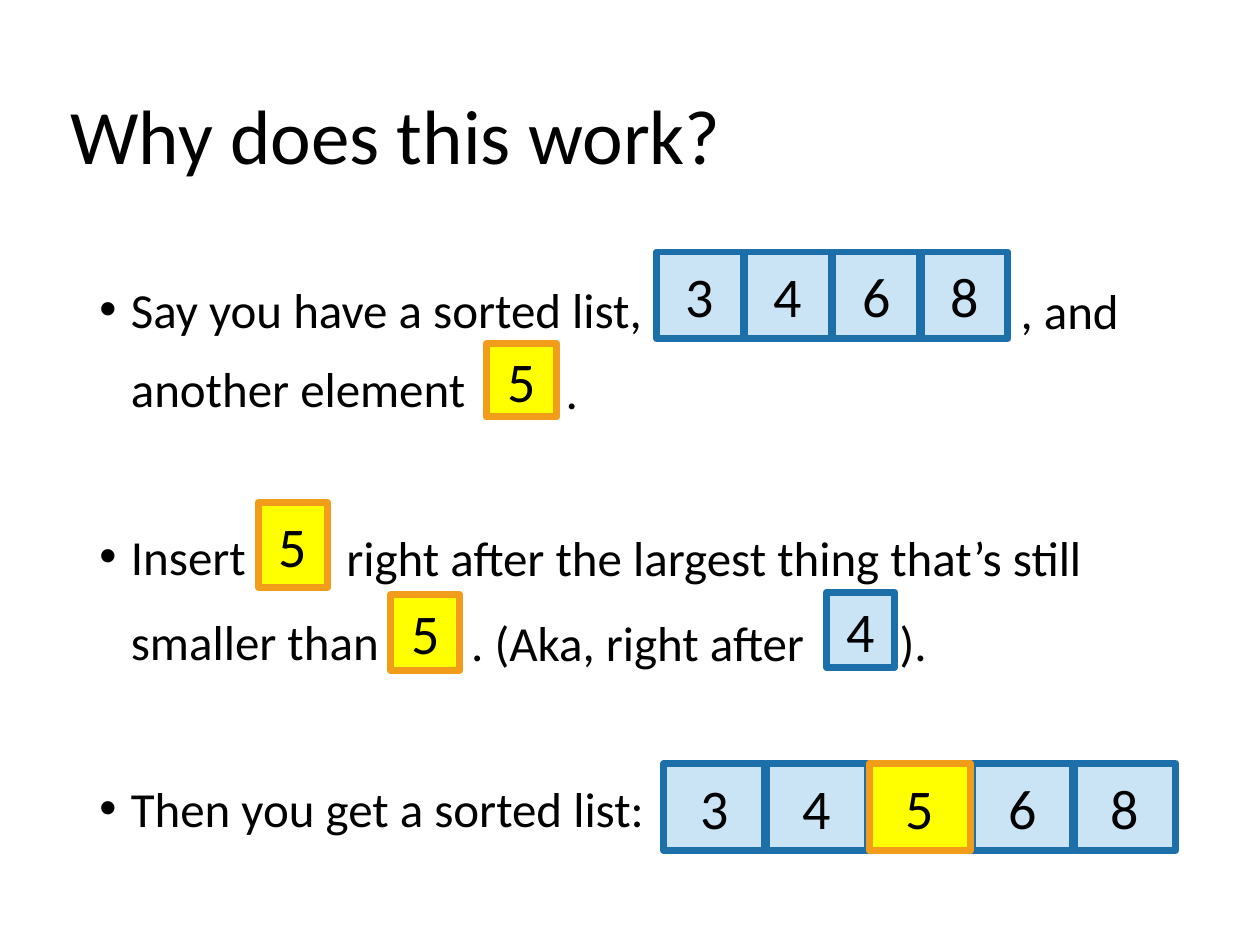
from lxml import etree
from pptx import Presentation
from pptx.dml.color import RGBColor
from pptx.enum import shapes, text
from pptx.oxml.ns import qn
from pptx.util import Inches, Pt

FONT = "Calibri"
COLORS = {
    "text": "000000",
    "sorted_fill": "CAE4F6",
    "sorted_line": "1D6FA9",
    "new_fill": "FFFF00",
    "new_line": "F19D19",
}

# Text, line spacing, space before in points
BULLETS = [
    ("Say you have a sorted list,\vanother element", Pt(45.6), 10),
    ("Insert\vsmaller than", Pt(48.6), 47),
    ("Then you get a sorted list:", 0.8, 68.5),
]

# Sentence parts that follow an inline box: text, left, top, width
CONTINUATIONS = [
    (", and", 8.1, 2.23, 1.1),
    (".", 4.49, 2.86, 0.3),
    ("right after the largest thing that’s still", 2.75, 4.19, 6.2),
    (". (Aka, right after", 3.74, 4.86, 2.9),
    (").", 7.14, 4.86, 0.4),
]

# Single boxes inside the sentences: value, kind, left, top, width, height
INLINE_BOXES = [
    (5, "new", 3.86, 2.73, 0.56, 0.58),
    (5, "new", 2.05, 3.99, 0.55, 0.67),
    (5, "new", 3.1, 4.72, 0.55, 0.6),
    (4, "sorted", 6.56, 4.7, 0.54, 0.6),
]


def color(name):
    return RGBColor.from_string(COLORS[name])


def format_font(paragraph, size):
    paragraph.font.name = FONT
    paragraph.font.size = Pt(size)
    paragraph.font.color.rgb = color("text")


def add_bullet(paragraph):
    properties = paragraph._p.get_or_add_pPr()
    properties.set("marL", str(Inches(0.25)))
    properties.set("indent", str(-Inches(0.25)))
    bullet_font = etree.Element(qn("a:buFont"), typeface="Arial")
    bullet = etree.Element(qn("a:buChar"), char="•")
    # Bullet marks come before the default run properties
    position = properties.index(properties.find(qn("a:defRPr")))
    properties.insert(position, bullet_font)
    properties.insert(position + 1, bullet)


def add_title(slide, wording):
    title = slide.shapes.title
    title.left, title.top = Inches(0.46), Inches(0.38)
    title.width, title.height = Inches(8.62), Inches(1.45)
    title.text_frame.text = wording
    title.text_frame.vertical_anchor = text.MSO_ANCHOR.MIDDLE
    paragraph = title.text_frame.paragraphs[0]
    paragraph.alignment = text.PP_ALIGN.LEFT
    paragraph.line_spacing = 0.9
    format_font(paragraph, 44)


def add_bullet_list(slide):
    box = slide.shapes.add_textbox(Inches(0.69), Inches(2), Inches(8.62), Inches(4.76))
    frame = box.text_frame
    frame.word_wrap = True
    for index, (wording, line_spacing, space_before) in enumerate(BULLETS):
        paragraph = frame.add_paragraph() if index else frame.paragraphs[0]
        paragraph.text = wording
        paragraph.line_spacing = line_spacing
        paragraph.space_before = Pt(space_before)
        format_font(paragraph, 28)
        add_bullet(paragraph)


def add_continuation(slide, wording, left, top, width):
    box = slide.shapes.add_textbox(Inches(left), Inches(top), Inches(width), Inches(0.48))
    frame = box.text_frame
    frame.word_wrap = True
    frame.margin_left = frame.margin_right = frame.margin_top = frame.margin_bottom = 0
    frame.text = wording
    format_font(frame.paragraphs[0], 28)


def add_number_box(slide, value, kind, left, top, width, height):
    box = slide.shapes.add_shape(
        shapes.MSO_SHAPE.RECTANGLE,
        Inches(left), Inches(top), Inches(width), Inches(height),
    )
    box.shadow.inherit = False
    box.fill.solid()
    box.fill.fore_color.rgb = color(f"{kind}_fill")
    box.line.color.rgb = color(f"{kind}_line")
    box.line.width = Pt(4)
    box.text_frame.text = str(value)
    box.text_frame.vertical_anchor = text.MSO_ANCHOR.MIDDLE
    paragraph = box.text_frame.paragraphs[0]
    paragraph.alignment = text.PP_ALIGN.CENTER
    format_font(paragraph, 32)


def add_number_row(slide, values, left, top, pitch, width, inserted=None):
    cells = [(value, left + index * pitch) for index, value in enumerate(values)]
    # The inserted cell goes on top of its neighbours
    for value, cell_left in sorted(cells, key=lambda cell: cell[0] == inserted):
        kind = "new" if value == inserted else "sorted"
        add_number_box(slide, value, kind, cell_left, top, width, 0.69)


def main():
    presentation = Presentation()
    presentation.slide_width, presentation.slide_height = Inches(10), Inches(7.5)
    slide = presentation.slides.add_slide(presentation.slide_layouts[5])

    # Sentences
    add_title(slide, "Why does this work?")
    add_bullet_list(slide)
    for continuation in CONTINUATIONS:
        add_continuation(slide, *continuation)

    # List before and after the insertion
    add_number_row(slide, [3, 4, 6, 8], 5.21, 2, 0.7, 0.69)
    add_number_row(slide, [3, 4, 5, 6, 8], 5.27, 6.06, 0.815, 0.8, inserted=5)
    for box in INLINE_BOXES:
        add_number_box(slide, *box)

    presentation.save("out.pptx")


if __name__ == "__main__":
    main()
